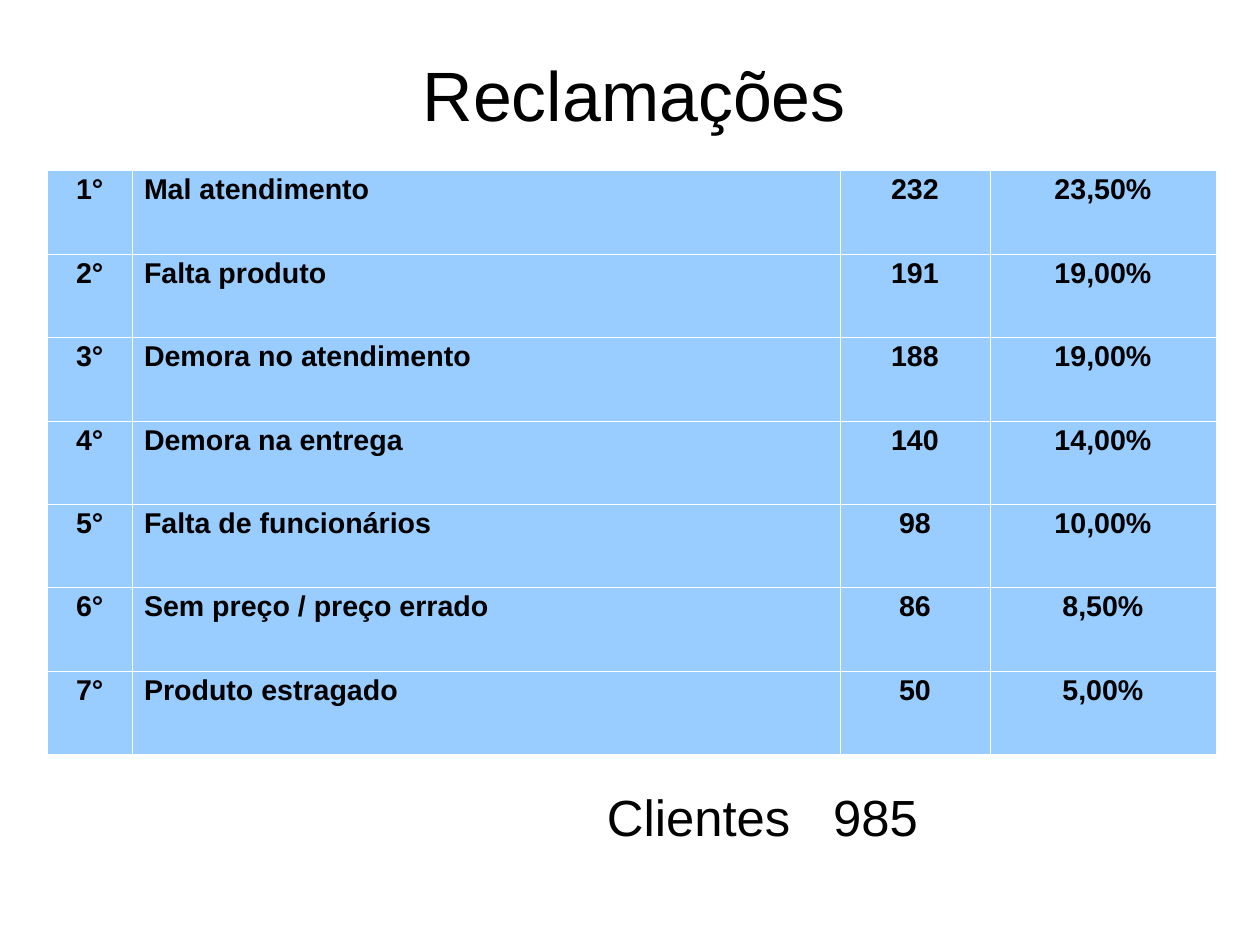
from lxml.etree import SubElement
from pptx import Presentation
from pptx.dml.color import RGBColor
from pptx.enum.text import MSO_ANCHOR, PP_ALIGN
from pptx.oxml.ns import qn
from pptx.util import Cm, Inches, Pt

TITLE = "Reclamações"
TOTAL = "Clientes\t985"
COMPLAINTS = [
    ("1°", "Mal atendimento", "232", "23,50%"),
    ("2°", "Falta produto", "191", "19,00%"),
    ("3°", "Demora no atendimento", "188", "19,00%"),
    ("4°", "Demora na entrega", "140", "14,00%"),
    ("5°", "Falta de funcionários", "98", "10,00%"),
    ("6°", "Sem preço / preço errado", "86", "8,50%"),
    ("7°", "Produto estragado", "50", "5,00%"),
]
COLUMN_WIDTHS = (0.75, 6.19, 1.31, 1.98)
COLUMN_ALIGNMENTS = (PP_ALIGN.CENTER, PP_ALIGN.LEFT, PP_ALIGN.CENTER, PP_ALIGN.CENTER)
TABLE_LEFT, TABLE_TOP, TABLE_HEIGHT = 0.41, 1.49, 5.11
BLACK, WHITE, BLUE = "000000", "FFFFFF", "99CCFF"


def color(value):
    return RGBColor.from_string(value)


def write(frame, text, size, align, bold=False, tab_stop=None):
    para = frame.paragraphs[0]
    para.text = text
    para.alignment = align
    para.line_spacing = 0.93
    if tab_stop:
        tabs = SubElement(para._p.get_or_add_pPr(), qn("a:tabLst"))
        SubElement(tabs, qn("a:tab"), pos=str(Inches(tab_stop)), algn="l")
    para.font.name = "Arial"
    para.font.size = Pt(size)
    para.font.bold = bold
    para.font.color.rgb = color(BLACK)


def add_text(page, place, text, size, align, anchor, top_inset, tab_stop=None):
    box = page.shapes.add_textbox(*map(Inches, place))
    frame = box.text_frame
    frame.word_wrap = True
    frame.vertical_anchor = anchor
    frame.margin_left = frame.margin_right = frame.margin_bottom = 0
    frame.margin_top = Inches(top_inset)
    write(frame, text, size, align, tab_stop=tab_stop)


def add_borders(cell):
    properties = cell._tc.get_or_add_tcPr()
    for side in ("lnL", "lnR", "lnT", "lnB"):
        line = SubElement(properties, qn(f"a:{side}"), w=str(Pt(0.06)))
        SubElement(SubElement(line, qn("a:solidFill")), qn("a:srgbClr"), val=WHITE)


def add_complaints(page):
    table = page.shapes.add_table(
        len(COMPLAINTS), len(COLUMN_WIDTHS), Inches(TABLE_LEFT), Inches(TABLE_TOP),
        Inches(sum(COLUMN_WIDTHS)), Inches(TABLE_HEIGHT)).table
    table.first_row = table.horz_banding = False
    for column, width in zip(table.columns, COLUMN_WIDTHS):
        column.width = Inches(width)
    for row, values in zip(table.rows, COMPLAINTS):
        for cell, value, align in zip(row.cells, values, COLUMN_ALIGNMENTS):
            add_borders(cell)
            cell.fill.solid()
            cell.fill.fore_color.rgb = color(BLUE)
            write(cell.text_frame, value, 18, align, bold=True)


def main():
    deck = Presentation()
    deck.slide_width, deck.slide_height = Cm(28), Cm(21)
    page = deck.slides.add_slide(deck.slide_layouts[6])
    add_text(page, (0.59, 0.2, 9.92, 1.28), TITLE, 44,
             PP_ALIGN.CENTER, MSO_ANCHOR.MIDDLE, 0.04)
    add_complaints(page)
    add_text(page, (5.31, 6.89, 3.54, 0.98), TOTAL, 32,
             PP_ALIGN.LEFT, MSO_ANCHOR.TOP, 0.03, tab_stop=1.98)
    deck.save("out.pptx")


if __name__ == "__main__":
    main()
